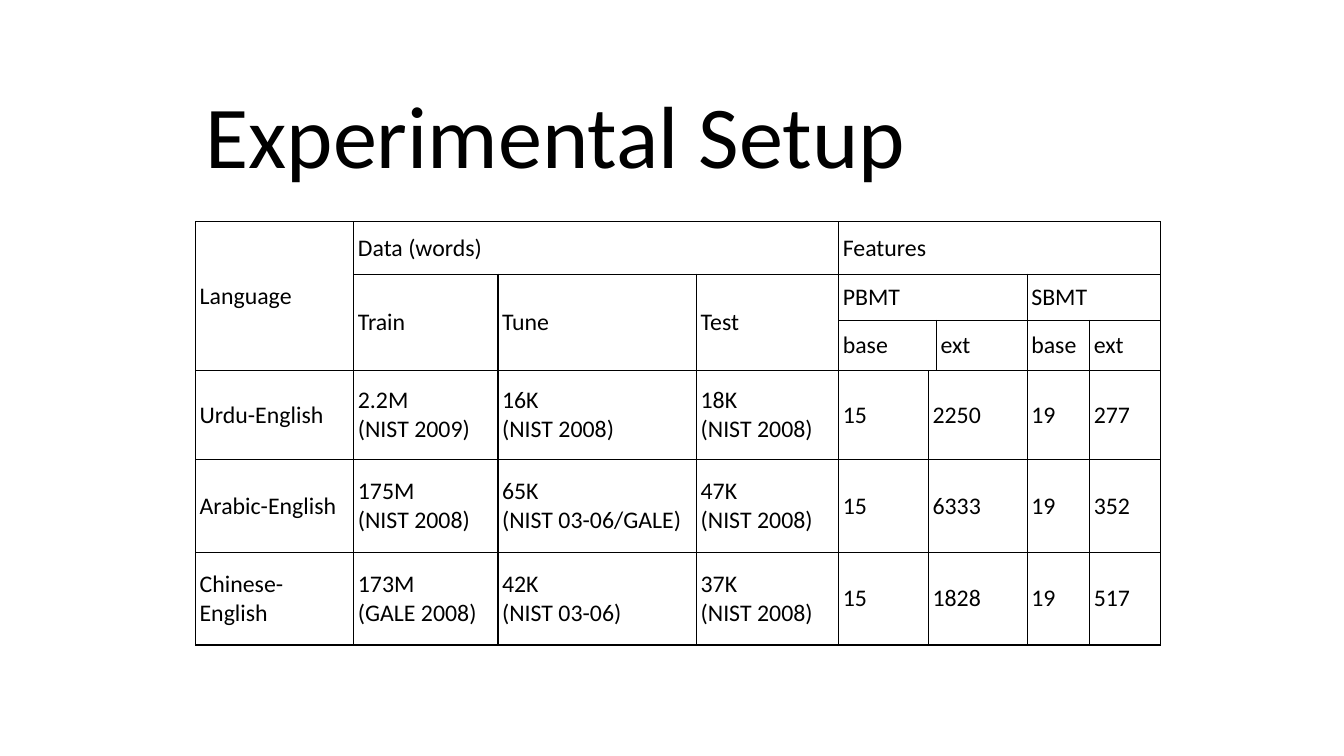
import dataclasses

import lxml.etree
import pptx
import pptx.dml.color
import pptx.enum.text
import pptx.oxml.ns
import pptx.util

Inches = pptx.util.Inches
Pt = pptx.util.Pt
qn = pptx.oxml.ns.qn


@dataclasses.dataclass(frozen=True)
class Theme:
    font: str = "Calibri"
    ink: str = "000000"
    title_size: float = 63
    cell_size: float = 17
    border: float = 1
    cell_inset: float = 0.04


class SlideBuilder:
    def __init__(self, s, theme):
        self.s = s
        self.theme = theme

    def add_text(self, p, text, size):
        for i, line in enumerate(text.split("\n")):
            if i:
                p.add_line_break()
            r = p.add_run()
            r.text = line
            r.font.name = self.theme.font
            r.font.size = Pt(size)
            r.font.color.rgb = pptx.dml.color.RGBColor.from_string(self.theme.ink)

    def title(self, text, left, top, width, height):
        sp = self.s.shapes.add_textbox(Inches(left), Inches(top), Inches(width), Inches(height))
        tf = sp.text_frame
        tf.word_wrap = True
        tf.vertical_anchor = pptx.enum.text.MSO_ANCHOR.MIDDLE
        p = tf.paragraphs[0]
        p.line_spacing = 0.9
        self.add_text(p, text, self.theme.title_size)

    def outline(self, cell):
        tcPr = cell._tc.get_or_add_tcPr()
        for side in ("a:lnL", "a:lnR", "a:lnT", "a:lnB"):
            ln = lxml.etree.SubElement(tcPr, qn(side), w=str(Pt(self.theme.border)))
            fill = lxml.etree.SubElement(ln, qn("a:solidFill"))
            lxml.etree.SubElement(fill, qn("a:srgbClr"), val=self.theme.ink)

    def table(self, left, top, widths, heights, rows, spans):
        sp = self.s.shapes.add_table(
            len(heights), len(widths), Inches(left), Inches(top),
            Inches(sum(widths)), Inches(sum(heights)))
        table = sp.table
        table.first_row = table.horz_banding = False
        for column, width in zip(table.columns, widths):
            column.width = Inches(width)
        for row, height in zip(table.rows, heights):
            row.height = Inches(height)
        for row, column, row_span, column_span in spans:
            table.cell(row, column).merge(
                table.cell(row + row_span - 1, column + column_span - 1))
        inset = Inches(self.theme.cell_inset)
        for i, row in enumerate(rows):
            for j, text in enumerate(row):
                cell = table.cell(i, j)
                self.outline(cell)
                cell.fill.background()
                cell.margin_left = cell.margin_right = inset
                cell.margin_top = cell.margin_bottom = inset
                cell.vertical_anchor = pptx.enum.text.MSO_ANCHOR.MIDDLE
                if text:
                    self.add_text(cell.text_frame.paragraphs[0], text, self.theme.cell_size)


WIDTHS = [1.57, 1.43, 1.97, 1.41, 0.89, 0.08, 0.9, 0.62, 0.7]
HEIGHTS = [0.52, 0.46, 0.5, 0.88, 0.92, 0.92]
ROWS = [
    ["Language", "Data (words)", "", "", "Features", "", "", "", ""],
    ["", "Train", "Tune", "Test", "PBMT", "", "", "SBMT", ""],
    ["", "", "", "", "base", "", "ext", "base", "ext"],
    ["Urdu-English", "2.2M\n(NIST 2009)", "16K\n(NIST 2008)", "18K\n(NIST 2008)",
     "15", "2250", "", "19", "277"],
    ["Arabic-English", "175M\n(NIST 2008)", "65K\n(NIST 03-06/GALE)", "47K\n(NIST 2008)",
     "15", "6333", "", "19", "352"],
    ["Chinese-English", "173M\n(GALE 2008)", "42K\n(NIST 03-06)", "37K\n(NIST 2008)",
     "15", "1828", "", "19", "517"],
]
HEADER_SPANS = [(0, 0, 3, 1), (0, 1, 1, 3), (0, 4, 1, 5), (1, 4, 1, 3), (1, 7, 1, 2), (2, 4, 1, 2)]
DATA_COLUMN_SPANS = [(1, column, 2, 1) for column in (1, 2, 3)]
EXTENDED_SPANS = [(row, 5, 1, 2) for row in (3, 4, 5)]


def main():
    prs = pptx.Presentation()
    prs.slide_width = Inches(13.33)
    prs.slide_height = Inches(7.5)
    s = prs.slides.add_slide(prs.slide_layouts[6])
    builder = SlideBuilder(s, Theme())
    builder.title("Experimental Setup", 1.94, -0.17, 9.45, 3.12)
    builder.table(1.94, 2.2, WIDTHS, HEIGHTS, ROWS,
                  HEADER_SPANS + DATA_COLUMN_SPANS + EXTENDED_SPANS)
    prs.save("out.pptx")


if __name__ == "__main__":
    main()
